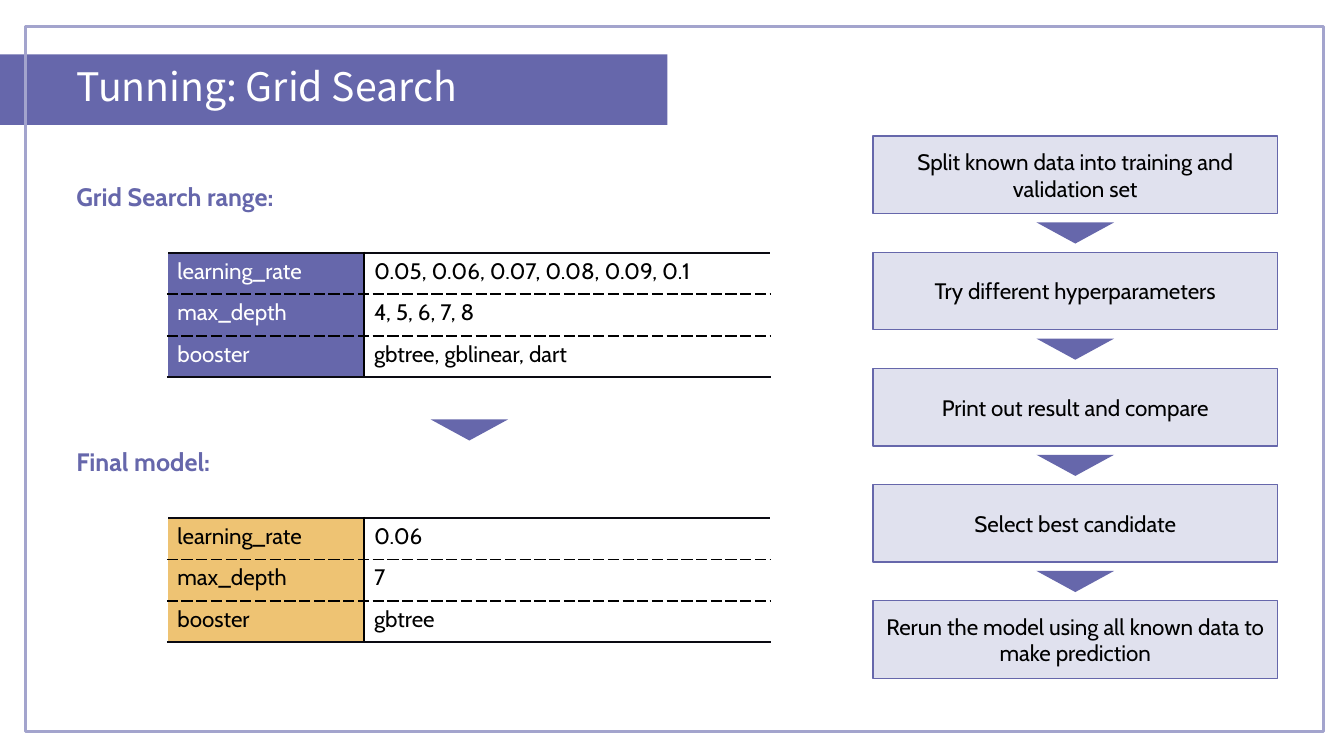
import dataclasses

import lxml.etree
import pptx
import pptx.dml.color
import pptx.enum.shapes
import pptx.enum.text
import pptx.oxml
import pptx.oxml.ns
import pptx.util

Inches = pptx.util.Inches
Pt = pptx.util.Pt
SHAPE = pptx.enum.shapes.MSO_SHAPE
ALIGN = pptx.enum.text.PP_ALIGN
ANCHOR = pptx.enum.text.MSO_ANCHOR


@dataclasses.dataclass(frozen=True)
class Theme:
    purple: str = "6667AB"
    frame: str = "A3A4CD"
    pale: str = "E0E1EE"
    gold: str = "EEC373"
    white: str = "FFFFFF"
    black: str = "000000"
    edge: str = "0A0A12"
    title_font: str = "Noto Sans CJK SC"
    body_font: str = "Cabin"
    title_size: int = 28
    heading_size: int = 18
    body_size: int = 16


theme = Theme()
rgb = pptx.dml.color.RGBColor.from_string

deck = pptx.Presentation()
deck.slide_width = Inches(13.33)
deck.slide_height = Inches(7.5)
page = deck.slides.add_slide(deck.slide_layouts[5])


def add_box(kind, left, top, width, height, fill=None, line=None, weight=1):
    box = page.shapes.add_shape(
        kind, Inches(left), Inches(top), Inches(width), Inches(height))
    box.shadow.inherit = False
    if fill:
        box.fill.solid()
        box.fill.fore_color.rgb = rgb(fill)
    else:
        box.fill.background()
    if line:
        box.line.color.rgb = rgb(line)
        box.line.width = Pt(weight)
    else:
        box.line.fill.background()
    return box


def write(frame, text, color, size=theme.body_size, font=theme.body_font, bold=False):
    frame.text = text
    para = frame.paragraphs[0]
    para.font.name = font
    para.font.size = Pt(size)
    para.font.bold = bold
    para.font.color.rgb = rgb(color)
    return para


# Title bar, page frame and title
margin = 0.66
add_box(SHAPE.RECTANGLE, 0, 0.54, 6.62, 0.7, theme.purple)
add_box(SHAPE.RECTANGLE, 0.25, 0.26, 12.88, 7, line=theme.frame, weight=2)
title = page.shapes.title
title.left, title.top = Inches(margin), Inches(0.57)
title.width, title.height = Inches(4.98), Inches(0.57)
title.text_frame.auto_size = pptx.enum.text.MSO_AUTO_SIZE.NONE
title.text_frame.vertical_anchor = ANCHOR.MIDDLE
write(title.text_frame, "Tunning: Grid Search", theme.white,
      theme.title_size, theme.title_font).alignment = ALIGN.LEFT
title.element.getparent().append(title.element)  # in front of the bar

# Workflow on the right, with an arrow in each gap
steps = [
    "Split known data into training and validation set",
    "Try different hyperparameters",
    "Print out result and compare",
    "Select best candidate",
    "Rerun the model using all known data to make prediction",
]
step_left, step_width, step_height = 8.66, 4.01, 0.77
first_top, last_top = 1.35, 5.96
pitch = (last_top - first_top) / (len(steps) - 1)
arrow_width, arrow_height = 0.77, 0.21
arrow_left = step_left + (step_width - arrow_width) / 2
arrows = [(4.27, 4.16)]  # between the two tables
for index, step in enumerate(steps):
    top = first_top + index * pitch
    box = add_box(SHAPE.RECTANGLE, step_left, top, step_width, step_height,
                  theme.pale, theme.purple)
    box.text_frame.word_wrap = True
    box.text_frame.vertical_anchor = ANCHOR.MIDDLE
    write(box.text_frame, step, theme.black).alignment = ALIGN.CENTER
    if index:
        arrows.append((arrow_left, top - (pitch - step_height + arrow_height) / 2))
for left, top in arrows:
    arrow = add_box(SHAPE.ISOSCELES_TRIANGLE, left, top,
                    arrow_width, arrow_height, theme.purple)
    arrow.rotation = 180

# Headings and parameter tables
names = ["learning_rate", "max_depth", "booster"]
sections = [
    ("Grid Search range:", 1.75, theme.purple, theme.white,
     ["0.05, 0.06, 0.07, 0.08, 0.09, 0.1", "4, 5, 6, 7, 8", "gbtree, gblinear, dart"]),
    ("Final model:", 4.38, theme.gold, theme.black, ["0.06", "7", "gbtree"]),
]
column_widths = [1.95, 4.03]
row_height = 0.41
outer = (theme.edge, 2.25, "solid")
divider = (theme.black, 1.5, "solid")
dashed = (theme.black, 1.5, "sysDash")
last_row = len(names) - 1

for heading, top, name_fill, name_color, values in sections:
    label = page.shapes.add_textbox(
        Inches(margin), Inches(top), Inches(3), Inches(0.4))
    label.text_frame.word_wrap = True
    write(label.text_frame, heading, theme.purple, theme.heading_size, bold=True)

    table = page.shapes.add_table(
        len(names), 2, Inches(margin + 1), Inches(top + 0.76),
        Inches(sum(column_widths)), Inches(row_height * len(names))).table
    table.first_row = table.horz_banding = False
    for column, width in zip(table.columns, column_widths):
        column.width = Inches(width)

    for row, texts in enumerate(zip(names, values)):
        table.rows[row].height = Inches(row_height)
        for column, text in enumerate(texts):
            cell = table.cell(row, column)
            write(cell.text_frame, text, theme.black if column else name_color)

            # Cell borders: the divider between columns, then top and bottom
            borders = {
                "lnL" if column else "lnR": divider,
                "lnT": dashed if row else outer,
                "lnB": dashed if row < last_row else outer,
            }
            properties = cell._tc.get_or_add_tcPr()
            for side, (color, weight, dash) in borders.items():
                line = lxml.etree.SubElement(
                    properties, pptx.oxml.ns.qn("a:" + side), w=str(Pt(weight)))
                fill = lxml.etree.SubElement(line, pptx.oxml.ns.qn("a:solidFill"))
                lxml.etree.SubElement(fill, pptx.oxml.ns.qn("a:srgbClr"), val=color)
                lxml.etree.SubElement(line, pptx.oxml.ns.qn("a:prstDash"), val=dash)

            if column:
                cell.fill.background()
            else:
                cell.fill.solid()
                cell.fill.fore_color.rgb = rgb(name_fill)

deck.save("out.pptx")
